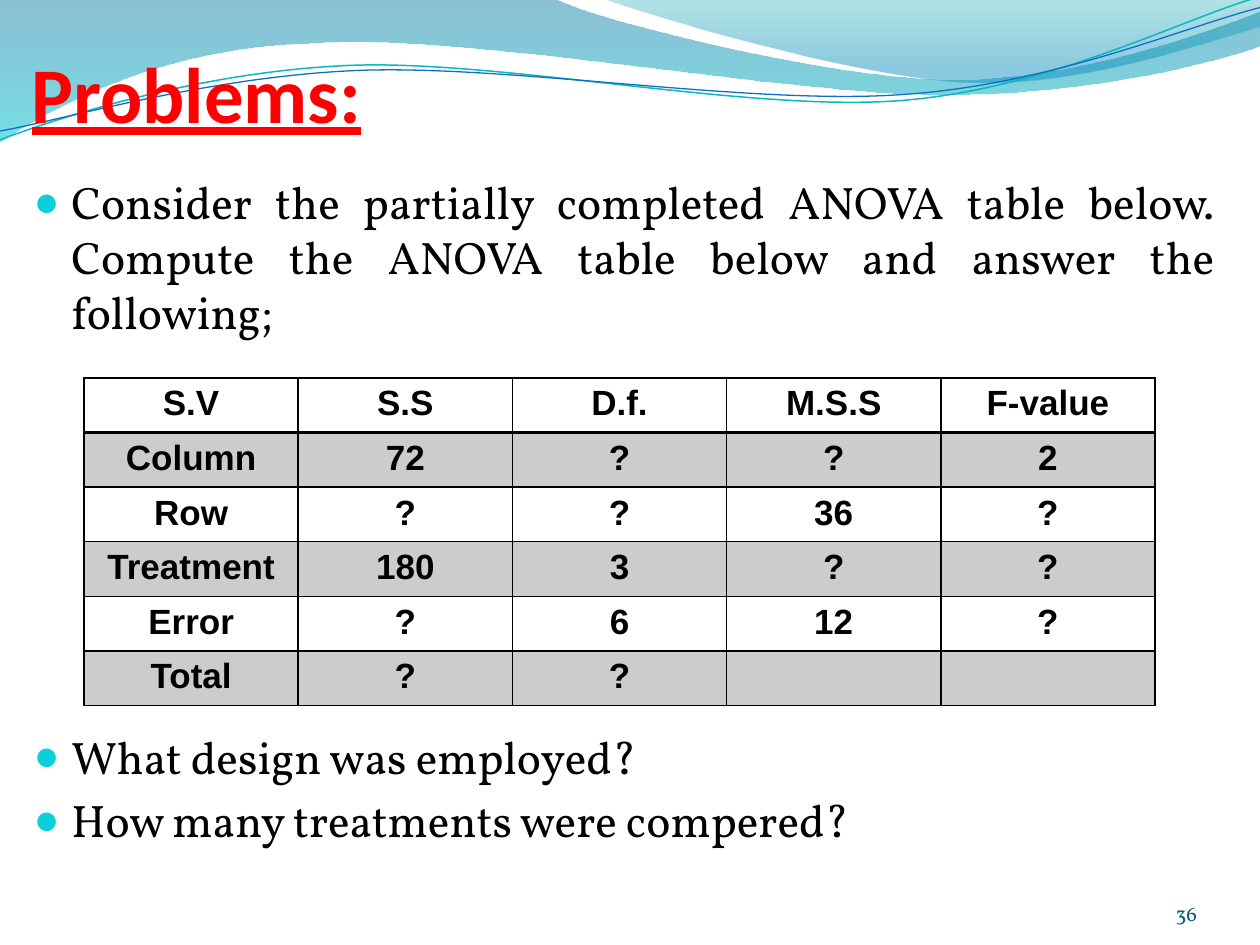
"""Build the ANOVA problems slide with its wave header, table and questions."""

from dataclasses import dataclass
from typing import Optional

from lxml.etree import SubElement
from pptx import Presentation
from pptx.dml.color import RGBColor
from pptx.enum.text import MSO_ANCHOR, MSO_AUTO_SIZE, PP_ALIGN
from pptx.oxml import parse_xml
from pptx.oxml.ns import nsdecls, qn
from pptx.util import Emu, Inches, Pt

COLORS = {
    "black": "000000", "title": "FF0000", "bullet": "0BD0D9", "number": "045D75",
    "deep": "0074A1", "aqua": "00C6CF", "teal": "00A1A9", "sky": "008BBF",
    "teal line": "0AB8BF", "blue line": "0F6FC6",
}
SLIDE_WIDTH, SLIDE_HEIGHT = Inches(10), Inches(7.5)
GRID_COLUMNS, GRID_ROWS = 100, 75
BODY_SIZE = 26
ANOVA_ROWS = [
    ("S.V", "S.S", "D.f.", "M.S.S", "F-value"),
    ("Column", "72", "?", "?", "2"),
    ("Row", "?", "?", "36", "?"),
    ("Treatment", "180", "3", "?", "?"),
    ("Error", "?", "6", "12", "?"),
    ("Total", "?", "?", "", ""),
]


@dataclass(frozen=True)
class Area:
    column: float
    row: float
    columns: float
    rows: float

    def box(self) -> tuple:
        return (across(self.column), down(self.row), across(self.columns), down(self.rows))


@dataclass(frozen=True)
class Wave:
    start: tuple
    segments: list
    stops: tuple = ()
    line: Optional[tuple] = None


@dataclass(frozen=True)
class Item:
    text: str
    align: PP_ALIGN
    before: float


WAVES = [
    Wave((0, 0), [
        [(44, -0.1)],
        [(47.6, 1.7), (66.4, 6.3), (75.8, 6.3)],
        [(85.3, 6.3), (95.8, 2.6), (100, 0.9)],
        [(100.1, 3.6)],
        [(98.3, 4.4), (87, 7.6), (74.6, 7.5)],
        [(62.2, 7.5), (38.2, 2.8), (25.7, 3.4)],
        [(12.9, 3.6), (4.6, 8.3), (-0.1, 11.3)],
        [(0, 0)],
    ], stops=(("deep", 45, 0), ("aqua", 55, 1))),
    Wave((47.9, -0.1), [
        [(50.9, 1.1), (68.2, 6.2), (76.9, 6.5)],
        [(85.6, 6.9), (96.1, 3.2), (100, 2.1)],
        [(100, 0)],
        [(47.9, -0.1)],
    ], stops=(("teal", 30, 0), ("sky", 45, 0.8))),
    Wave((0, 11.1), [
        [(4.8, 9.3), (15.8, 5.7), (27.7, 5.2)],
        [(39.5, 4.7), (59.3, 8.9), (71.3, 8)],
        [(83.3, 7.1), (93.8, 1.5), (99.8, -0.2)],
    ], line=("teal line", 0.85)),
    Wave((0, 10.4), [
        [(4.7, 9.6), (16.4, 6.1), (28.3, 5.6)],
        [(40.3, 5.1), (59.7, 8.4), (71.7, 7.5)],
        [(83.6, 6.7), (94.1, 2.1), (100, 0.6)],
    ], line=("blue line", 0.75)),
]
ITEMS = [
    Item("Consider the partially completed ANOVA table below. "
         "Compute the ANOVA table below and answer the following;", PP_ALIGN.JUSTIFY, 5.2),
    Item("What design was employed?", PP_ALIGN.LEFT, 223.2),
    Item("How many treatments were compered?", PP_ALIGN.LEFT, 5.2),
]


def across(columns: float) -> Emu:
    return Emu(round(SLIDE_WIDTH * columns / GRID_COLUMNS))


def down(rows: float) -> Emu:
    return Emu(round(SLIDE_HEIGHT * rows / GRID_ROWS))


def rgb(name: str) -> RGBColor:
    return RGBColor.from_string(COLORS[name])


def write_text(paragraph, text: str, *, font: str, size: float, color: str = "black",
               bold: bool = False, underline: bool = False, align=PP_ALIGN.LEFT) -> None:
    paragraph.alignment = align
    run = paragraph.add_run()
    run.text = text
    run.font.name, run.font.size = font, Pt(size)
    run.font.bold, run.font.underline = bold, underline
    run.font.color.rgb = rgb(color)


def place(shape, area: Area, anchor, margins: tuple) -> None:
    shape.left, shape.top, shape.width, shape.height = area.box()
    frame = shape.text_frame
    frame.word_wrap, frame.auto_size = True, MSO_AUTO_SIZE.NONE
    frame.vertical_anchor = anchor
    (frame.margin_left, frame.margin_top,
     frame.margin_right, frame.margin_bottom) = map(Inches, margins)


def set_opacity(color_element, percent: int) -> None:
    SubElement(color_element, qn("a:alpha")).set("val", str(percent * 1000))


def bend(shape, segments: list) -> None:
    for line, segment in zip(list(shape.element.iter(qn("a:lnTo"))), segments):
        if len(segment) == 3:
            points = "".join(f'<a:pt x="{across(x) - shape.left}" y="{down(y) - shape.top}"/>'
                             for x, y in segment)
            curve = parse_xml(f'<a:cubicBezTo {nsdecls("a")}>{points}</a:cubicBezTo>')
            line.getparent().replace(line, curve)


def draw_wave(slide, wave: Wave) -> None:
    builder = slide.shapes.build_freeform(across(wave.start[0]), down(wave.start[1]))
    ends = [segment[-1] for segment in wave.segments]
    builder.add_line_segments([(across(x), down(y)) for x, y in ends], close=bool(wave.stops))
    shape = builder.convert_to_shape()
    bend(shape, wave.segments)
    shape.shadow.inherit = False
    if wave.line:
        color, width = wave.line
        shape.fill.background()
        shape.line.color.rgb, shape.line.width = rgb(color), Pt(width)
        return
    shape.line.fill.background()
    shape.fill.gradient()
    shape.fill.gradient_angle = 270
    for stop, (color, _, position) in zip(shape.fill.gradient_stops, wave.stops):
        stop.color.rgb, stop.position = rgb(color), position
    for element, (_, opacity, _) in zip(list(shape.element.iter(qn("a:srgbClr"))), wave.stops):
        set_opacity(element, opacity)


def draw_list(shape, items: list) -> None:
    frame = shape.text_frame
    for index, item in enumerate(items):
        paragraph = frame.add_paragraph() if index else frame.paragraphs[0]
        write_text(paragraph, item.text, font="Vollkorn", size=BODY_SIZE, align=item.align)
        paragraph.space_before, paragraph.line_spacing = Pt(item.before), Pt(31.2)
    for properties in shape.element.iter(qn("a:pPr")):
        properties.set("marL", str(across(3)))
        properties.set("indent", str(-across(3)))
        color = SubElement(properties, qn("a:buClr"))
        SubElement(color, qn("a:srgbClr")).set("val", COLORS["bullet"])
        SubElement(properties, qn("a:buSzPct")).set("val", "95000")
        SubElement(properties, qn("a:buChar")).set("char", "●")


def draw_table(slide, area: Area, rows: list) -> None:
    frame = slide.shapes.add_table(len(rows), len(rows[0]), *area.box())
    table = frame.table
    table.first_row = table.horz_banding = False
    for row, texts in enumerate(rows):
        for column, text in enumerate(texts):
            cell = table.cell(row, column)
            if text:
                write_text(cell.text_frame.paragraphs[0], text, font="Arial", size=20,
                           bold=True, align=PP_ALIGN.CENTER)
            if row % 2:
                cell.fill.solid()
                cell.fill.fore_color.rgb = rgb("black")
            else:
                cell.fill.background()
    for index, properties in enumerate(list(frame.element.iter(qn("a:tcPr")))):
        for color in properties.iter(qn("a:srgbClr")):
            set_opacity(color, 20)
        for order, side in enumerate("LRTB"):
            width = Pt(2 if side == "B" and index < len(rows[0]) else 1)
            properties.insert(order, parse_xml(
                f'<a:ln{side} {nsdecls("a")} w="{width}"><a:solidFill>'
                f'<a:srgbClr val="{COLORS["black"]}"/></a:solidFill></a:ln{side}>'))


def main() -> None:
    presentation = Presentation()
    presentation.slide_width, presentation.slide_height = SLIDE_WIDTH, SLIDE_HEIGHT
    slide = presentation.slides.add_slide(presentation.slide_layouts[1])
    for wave in WAVES:
        draw_wave(slide, wave)
    title, body = slide.placeholders
    for placeholder in (title, body):
        slide.shapes.element.append(placeholder.element)
    place(title, Area(2.5, 2.5, 90, 8.54), MSO_ANCHOR.BOTTOM, (0, 0.05, 0, 0))
    write_text(title.text_frame.paragraphs[0], "Problems:", font="Calibri", size=45,
               color="title", bold=True, underline=True)
    place(body, Area(1.67, 13.33, 95.83, 55.8), MSO_ANCHOR.TOP, (0.1, 0.05, 0.1, 0.05))
    draw_list(body, ITEMS)
    draw_table(slide, Area(6.67, 30, 85, 26), ANOVA_ROWS)
    area = Area(86.7, 69.5, 8.3, 4)
    number = slide.shapes.add_textbox(*area.box())
    place(number, area, MSO_ANCHOR.BOTTOM, (0, 0, 0, 0))
    write_text(number.text_frame.paragraphs[0], "36", font="Vollkorn", size=12,
               color="number", align=PP_ALIGN.RIGHT)
    presentation.save("out.pptx")


if __name__ == "__main__":
    main()
